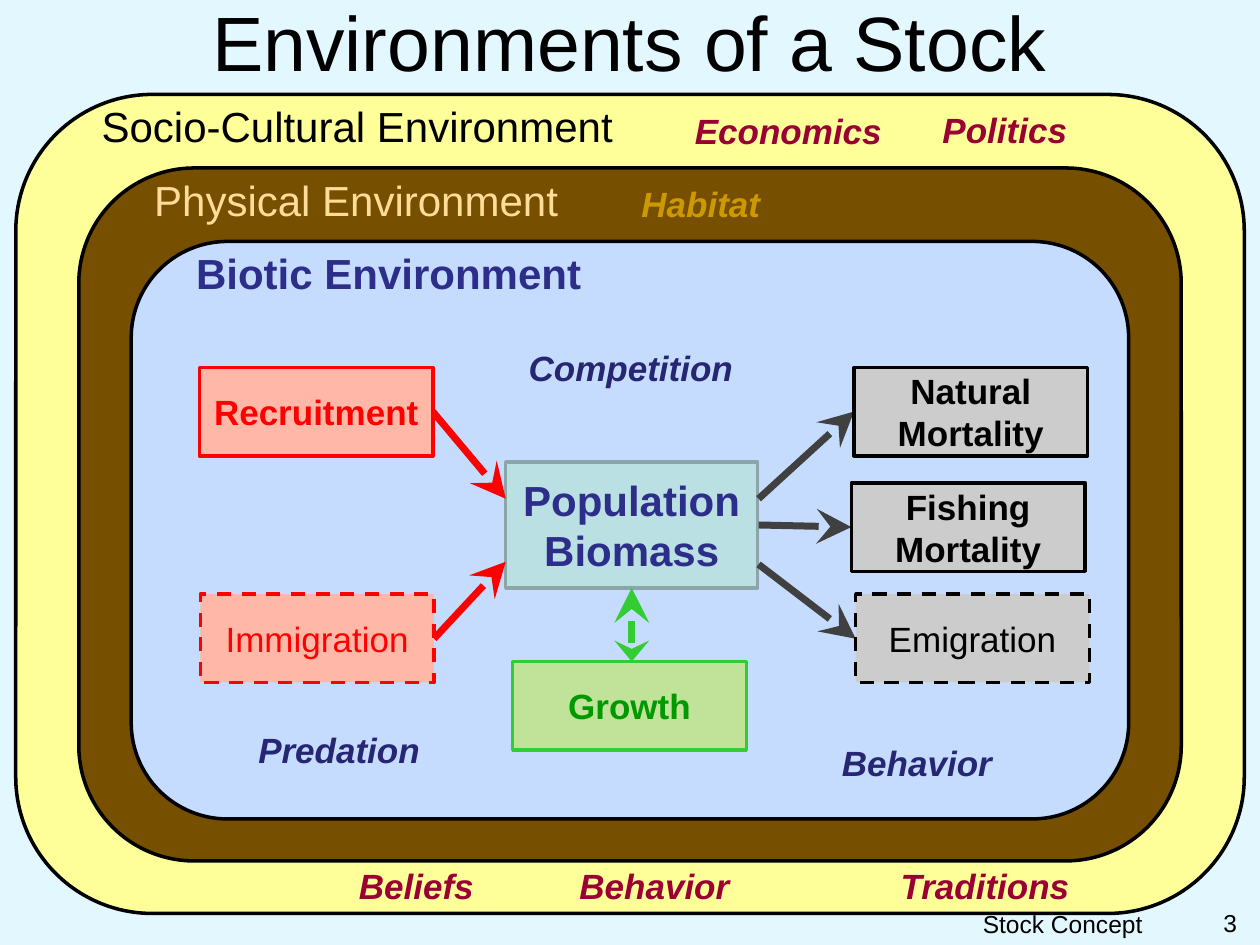
from lxml.etree import SubElement
from pptx import Presentation
from pptx.dml.color import RGBColor
from pptx.enum.dml import MSO_LINE
from pptx.enum.shapes import MSO_CONNECTOR, MSO_SHAPE
from pptx.enum.text import MSO_ANCHOR, PP_ALIGN
from pptx.oxml.ns import qn
from pptx.util import Pt

BLACK, RED, GREEN, GRAY = "000000", "FF0000", "33CC33", "404040"
PINK, SILVER, NAVY = "FFB8A7", "CCCCCC", "2D2D8A"
INDIGO, OCHRE, MAROON = "262673", "CC9900", "990033"

# label, label colour, bold, label left and width, fill, frame (left, top, width, height)
ENVIRONMENTS = [
    ("Socio-Cultural Environment", BLACK, False, 51, 310, "FFFF99", (9, 54, 702, 468)),
    ("Physical Environment", "FFDC97", False, 81, 248, "764F00", (45, 96, 630, 396)),
    ("Biotic Environment", NAVY, True, 105, 237, "C5DCFF", (75, 138, 570, 330)),
]

POPULATION = ("Population\nBiomass", (289, 264, 144, 72), "BBE0E3", "8AA6A8", NAVY)

# label, left, top, fill, outline, text colour, main process (solid and bold)
PROCESS_SIZE = (133.5, 50.5)
PROCESSES = [
    ("Recruitment", 114, 210, PINK, RED, RED, True),
    ("Growth", 293, 378, "C0E399", GREEN, "009900", True),
    ("Immigration", 114.5, 339.5, PINK, RED, RED, False),
    ("Natural Mortality", 488, 210, SILVER, BLACK, BLACK, True),
    ("Fishing Mortality", 486.5, 276, SILVER, BLACK, BLACK, True),
    ("Emigration", 489, 339.5, SILVER, BLACK, BLACK, False),
]

# start, end, colour, pointed at both ends
FLOWS = [
    ((247.3, 235.2), (289, 285), RED, False),
    ((361, 378), (361, 336), GREEN, True),
    ((248, 365), (289, 321), RED, False),
    ((433.5, 285), (488, 235.2), GRAY, False),
    ((433.5, 300), (486.5, 301.2), GRAY, False),
    ((433.5, 322.5), (489, 365), GRAY, False),
]

# text, left, top, width, colour
FACTORS = [
    ("Competition", 295, 194.5, 132.5, INDIGO),
    ("Predation", 140.5, 412.5, 108, INDIGO),
    ("Behavior", 474, 420, 101, INDIGO),
    ("Habitat", 359.5, 100.5, 83, OCHRE),
    ("Economics", 390, 59, 122, MAROON),
    ("Politics", 531.5, 58.5, 86, MAROON),
    ("Traditions", 507.5, 490.5, 111.5, MAROON),
    ("Behavior", 324, 490.5, 101, MAROON),
    ("Beliefs", 198, 490.5, 80.5, MAROON),
]


def rgb(value):
    return RGBColor.from_string(value)


def write(shape, text, size, color, bold=False, italic=False, align=PP_ALIGN.LEFT,
          anchor=MSO_ANCHOR.TOP, wrap=True):
    frame = shape.text_frame
    frame.text = text
    frame.word_wrap = wrap
    frame.vertical_anchor = anchor
    for para in frame.paragraphs:
        para.alignment = align
        for span in para.runs:
            span.font.name = "Arial"
            span.font.size = Pt(size)
            span.font.bold = bold
            span.font.italic = italic
            span.font.color.rgb = rgb(color)


def add_text(page, bounds, *args, **style):
    box = page.shapes.add_textbox(*map(Pt, bounds))
    write(box, *args, **style)


def add_box(page, kind, bounds, fill, outline, dashed=False):
    box = page.shapes.add_shape(kind, *map(Pt, bounds))
    box.shadow.inherit = False
    box.fill.solid()
    box.fill.fore_color.rgb = rgb(fill)
    box.line.color.rgb = rgb(outline)
    box.line.width = Pt(2)
    if dashed:
        box.line.dash_style = MSO_LINE.DASH
    return box


def add_flow(page, start, end, color, both_ends):
    flow = page.shapes.add_connector(MSO_CONNECTOR.STRAIGHT, *map(Pt, start + end))
    flow.line.color.rgb = rgb(color)
    flow.line.width = Pt(4)
    line = flow.line._get_or_add_ln()
    if both_ends:
        SubElement(line, qn("a:headEnd"), type="stealth", w="lg", len="med")
    SubElement(line, qn("a:tailEnd"), type="stealth", w="lg", len="lg")
    SubElement(flow._element.spPr, qn("a:effectLst"))


def main():
    deck = Presentation()
    deck.slide_width, deck.slide_height = Pt(720), Pt(540)
    page = deck.slides.add_slide(deck.slide_layouts[6])
    page.background.fill.solid()
    page.background.fill.fore_color.rgb = rgb("E2F7FE")
    centered = {"align": PP_ALIGN.CENTER, "anchor": MSO_ANCHOR.MIDDLE}

    add_text(page, (5, 0, 710, 47), "Environments of a Stock", 44, BLACK, **centered)
    add_text(page, (432, 516, 228, 18), "Stock Concept", 14, BLACK, align=PP_ALIGN.RIGHT)
    add_text(page, (666, 515.5, 48, 24), "3", 14, BLACK, align=PP_ALIGN.RIGHT)

    for label, color, bold, left, width, fill, frame in ENVIRONMENTS:
        add_box(page, MSO_SHAPE.ROUNDED_RECTANGLE, frame, fill, BLACK)
        add_text(page, (left, frame[1], width, 36), label, 24, color, bold, wrap=False)

    label, bounds, fill, outline, color = POPULATION
    population = add_box(page, MSO_SHAPE.RECTANGLE, bounds, fill, outline)
    write(population, label, 24, color, True, **centered)

    for flow in FLOWS:
        add_flow(page, *flow)

    for label, left, top, fill, outline, color, main_process in PROCESSES:
        box = add_box(page, MSO_SHAPE.RECTANGLE, (left, top, *PROCESS_SIZE), fill, outline,
                      dashed=not main_process)
        write(box, label, 20, color, main_process, **centered)

    for text, left, top, width, color in FACTORS:
        add_text(page, (left, top, width, 31.5), text, 20, color, True, True, wrap=False)

    deck.save("out.pptx")


if __name__ == "__main__":
    main()
